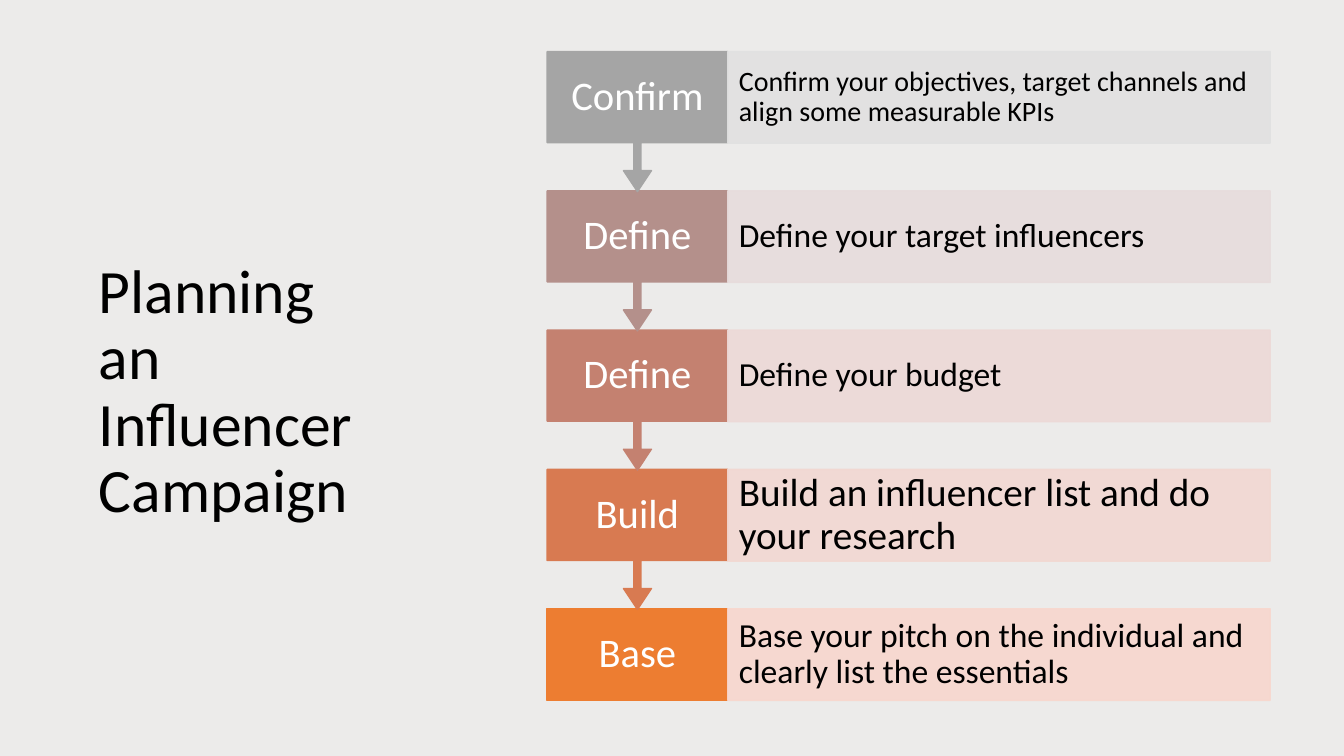
from lxml import etree
from pptx import Presentation
from pptx import util as u
from pptx.dml.color import RGBColor
from pptx.enum import shapes, text
from pptx.oxml.ns import qn

BACKGROUND = RGBColor(0xEC, 0xEB, 0xEA)
BLACK = RGBColor(0x00, 0x00, 0x00)
WHITE = RGBColor(0xFF, 0xFF, 0xFF)
GRAY = RGBColor(0xA5, 0xA5, 0xA5)
PALE_GRAY = RGBColor(0xE1, 0xE1, 0xE1)
MAUVE = RGBColor(0xB4, 0x90, 0x8B)
PALE_MAUVE = RGBColor(0xE7, 0xDC, 0xDC)
ROSE = RGBColor(0xC4, 0x81, 0x70)
PALE_ROSE = RGBColor(0xED, 0xD9, 0xD7)
RUST = RGBColor(0xD8, 0x7A, 0x51)
PALE_RUST = RGBColor(0xF2, 0xD8, 0xD2)
ORANGE = RGBColor(0xED, 0x7D, 0x31)
PALE_ORANGE = RGBColor(0xF8, 0xD7, 0xCE)

STEPS = [
    ("Confirm", "Confirm your objectives, target channels and align some measurable KPIs",
     20, GRAY, PALE_GRAY),
    ("Define", "Define your target influencers", 24, MAUVE, PALE_MAUVE),
    ("Define", "Define your budget", 24, ROSE, PALE_ROSE),
    ("Build", "Build an influencer list and do your research", 28, RUST, PALE_RUST),
    ("Base", "Base your pitch on the individual and clearly list the essentials",
     24, ORANGE, PALE_ORANGE),
]
TOP, PITCH, BOX_HEIGHT = 1.3, 3.51, 2.31
LABEL_LEFT, LABEL_WIDTH, DETAIL_WIDTH = 13.79, 4.55, 13.67
CALLOUT_HEIGHT = 3.53
CALLOUT_ADJUSTMENTS = (0.05, 0.1, 0.15, 0.65)


class SlideBuilder:
    font_name = "Calibri"
    line_spacing = 0.9

    def __init__(self, slide):
        self.slide = slide
        slide.background.fill.solid()
        slide.background.fill.fore_color.rgb = BACKGROUND

    def set_text(self, shape, words, size, color, margins, alignment=text.PP_ALIGN.LEFT):
        frame = shape.text_frame
        frame.word_wrap = True
        frame.vertical_anchor = text.MSO_ANCHOR.MIDDLE
        frame.margin_left = frame.margin_right = u.Cm(margins[0])
        frame.margin_top = frame.margin_bottom = u.Cm(margins[1])
        paragraph = frame.paragraphs[0]
        paragraph.text = words
        paragraph.alignment = alignment
        paragraph.line_spacing = self.line_spacing
        paragraph.font.name = self.font_name
        paragraph.font.size = u.Pt(size)
        paragraph.font.color.rgb = color

    def title(self, words, left, top, width, height):
        shape = self.slide.shapes.add_textbox(*map(u.Cm, (left, top, width, height)))
        self.set_text(shape, words, 44, BLACK, (0.25, 0.13))

    def panel(self, kind, left, top, width, height, color, opacity=100):
        shape = self.slide.shapes.add_shape(kind, *map(u.Cm, (left, top, width, height)))
        shape.shadow.inherit = False
        shape.line.width = u.Pt(1)
        for fill in (shape.fill, shape.line.fill):
            fill.solid()
            fill.fore_color.rgb = color
        if opacity < 100:
            for element in shape._element.spPr.iter(qn("a:srgbClr")):
                etree.SubElement(element, qn("a:alpha"), val=str(opacity * 1000))
        return shape

    def label(self, words, top, color, has_arrow):
        kind = shapes.MSO_SHAPE.DOWN_ARROW_CALLOUT if has_arrow else shapes.MSO_SHAPE.RECTANGLE
        height = CALLOUT_HEIGHT if has_arrow else BOX_HEIGHT
        shape = self.panel(kind, LABEL_LEFT, top, LABEL_WIDTH, height, color)
        if has_arrow:
            for index, value in enumerate(CALLOUT_ADJUSTMENTS):
                shape.adjustments[index] = value
        self.set_text(shape, words, 29, WHITE, (0.33, 0), text.PP_ALIGN.CENTER)

    def detail(self, words, top, size, color):
        shape = self.panel(shapes.MSO_SHAPE.RECTANGLE, LABEL_LEFT + LABEL_WIDTH, top,
                           DETAIL_WIDTH, BOX_HEIGHT, color, opacity=90)
        self.set_text(shape, words, size, BLACK, (0.28, 0))


def main():
    presentation = Presentation()
    presentation.slide_width = u.Cm(33.87)
    presentation.slide_height = u.Cm(19.05)
    builder = SlideBuilder(presentation.slides.add_slide(presentation.slide_layouts[6]))
    builder.title("Planning an Influencer Campaign", 2.24, 3.25, 7.11, 13.31)
    last = len(STEPS) - 1
    for index, (name, description, size, color, pale_color) in reversed(list(enumerate(STEPS))):
        top = TOP + index * PITCH
        builder.label(name, top, color, has_arrow=index < last)
        builder.detail(description, top, size, pale_color)
    presentation.save("out.pptx")


if __name__ == "__main__":
    main()
